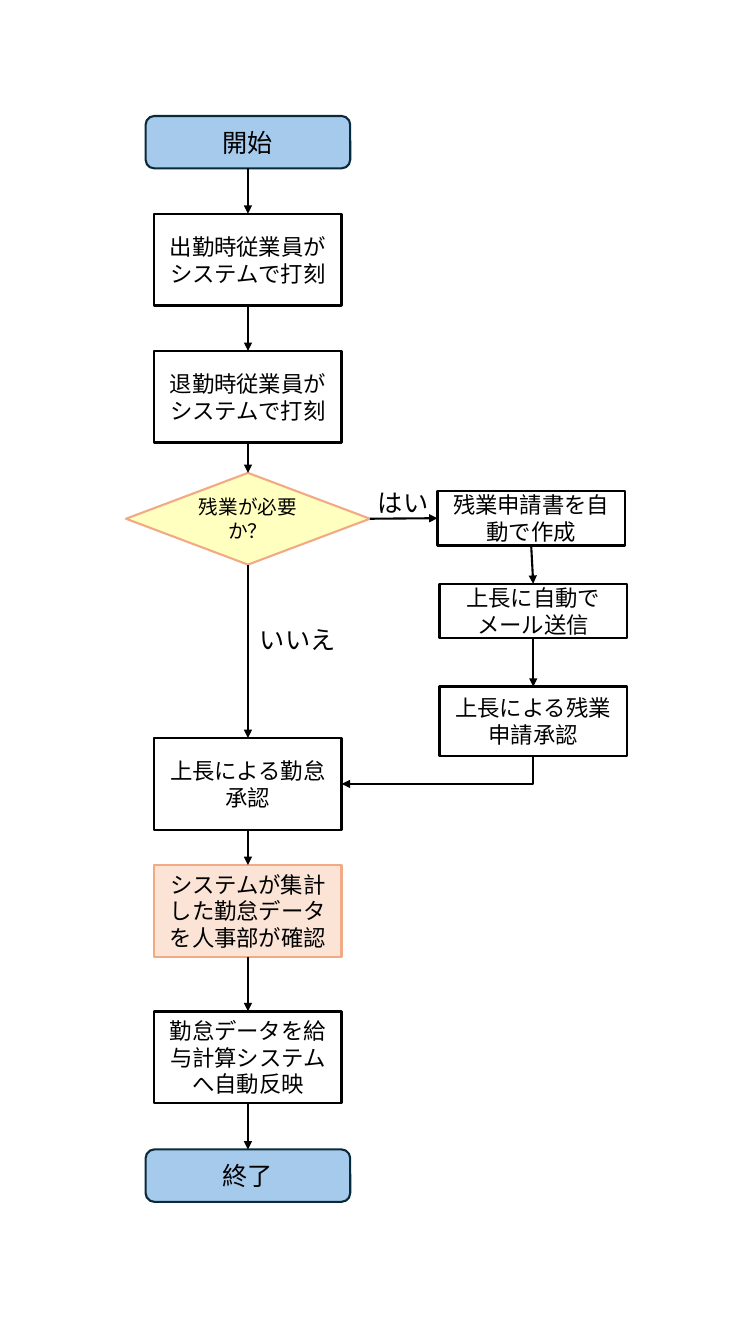
from pptx import Presentation
from pptx import util as u
from pptx.dml.color import RGBColor
from pptx.enum import shapes, text
from pptx.oxml.ns import qn
from lxml import etree

BLACK = RGBColor(0x00, 0x00, 0x00)
BLUE = RGBColor(0xA6, 0xCA, 0xEC)
NAVY = RGBColor(0x09, 0x2A, 0x39)
YELLOW = RGBColor(0xFF, 0xFF, 0x00)
PEACH = RGBColor(0xFB, 0xE3, 0xD6)
ORANGE = RGBColor(0xF2, 0xAA, 0x84)
FONT = "Karla"
RECT = shapes.MSO_SHAPE.RECTANGLE
ROUNDED = shapes.MSO_SHAPE.ROUNDED_RECTANGLE
DIAMOND = shapes.MSO_SHAPE.DIAMOND
TOP, LEFT, BOTTOM, RIGHT = range(4)
STEP_WIDTH = 1.86


def write(frame, words, size=16, align=text.PP_ALIGN.CENTER,
          anchor=text.MSO_ANCHOR.MIDDLE, wrap=True):
    frame.word_wrap = wrap
    frame.vertical_anchor = anchor
    para = frame.paragraphs[0]
    para.alignment = align
    span = para.add_run()
    span.text = words
    span.font.size = u.Pt(size)
    span.font.name = FONT
    span.font.color.rgb = BLACK


def add_node(page, kind, box, words, size=16, fill=None, line=BLACK, weight=1.75, opacity=None):
    node = page.shapes.add_shape(kind, *map(u.Inches, box))
    node.shadow.inherit = False
    if fill is None:
        node.fill.background()
    else:
        node.fill.solid()
        node.fill.fore_color.rgb = fill
    if opacity is not None:
        color = node.fill._xPr.find(".//" + qn("a:srgbClr"))
        etree.SubElement(color, qn("a:alpha")).set("val", str(opacity * 1000))
    node.line.color.rgb = line
    node.line.width = u.Pt(weight)
    write(node.text_frame, words, size)
    return node


def add_label(page, box, words):
    label = page.shapes.add_textbox(*map(u.Inches, box))
    write(label.text_frame, words, size=18, align=text.PP_ALIGN.LEFT,
          anchor=text.MSO_ANCHOR.TOP, wrap=False)


def link(page, start, end, start_site=BOTTOM, end_site=TOP):
    arrow = page.shapes.add_connector(shapes.MSO_CONNECTOR.STRAIGHT, 0, 0, 0, 0)
    arrow.begin_connect(start, start_site)
    arrow.end_connect(end, end_site)
    arrow.line.color.rgb = BLACK
    arrow.line.width = u.Pt(1.5)
    head = etree.SubElement(arrow.line._get_or_add_ln(), qn("a:tailEnd"))
    head.set("type", "triangle")
    etree.SubElement(arrow._element.spPr, qn("a:effectLst"))
    return arrow


def link_corner(page, start, end):
    arrow = link(page, start, end, BOTTOM, RIGHT)
    across, down = arrow.width, arrow.height
    center_x = arrow.left + across // 2
    center_y = arrow.top + down // 2
    arrow.left, arrow.top = center_x - down // 2, center_y - across // 2
    arrow.width, arrow.height = down, across
    frame = arrow._element.spPr.find(qn("a:xfrm"))
    frame.attrib.pop("flipH", None)
    frame.set("rot", str(90 * 60000))
    arrow._element.spPr.find(qn("a:prstGeom")).set("prst", "bentConnector2")


def add_main_flow(page, box):
    left, top, width, height = box

    def centered(offset, node_width, node_height):
        return left + (width - node_width) / 2, top + offset, node_width, node_height

    def terminal(offset, words):
        return add_node(page, ROUNDED, centered(offset, 2.03, 0.52), words,
                        size=18, fill=BLUE, line=NAVY, weight=1.5)

    def step(offset, words, **style):
        return add_node(page, RECT, centered(offset, STEP_WIDTH, 0.91), words, **style)

    decision = add_node(page, DIAMOND, centered(3.54, width, 0.91), "残業が必要か？",
                        size=14, fill=YELLOW, line=ORANGE, weight=1.5, opacity=25)
    approval = step(6.17, "上長による勤怠承認")
    nodes = [
        terminal(0, "開始"),
        step(0.97, "出勤時従業員がシステムで打刻"),
        step(2.33, "退勤時従業員がシステムで打刻"),
        decision,
        approval,
        step(7.43, "システムが集計した勤怠データを人事部が確認", fill=PEACH, line=ORANGE),
        step(8.88, "勤怠データを給与計算システムへ自動反映"),
        terminal(height - 0.52, "終了"),
    ]
    for start, end in zip(nodes, nodes[1:]):
        link(page, start, end)
    add_label(page, (left + 1.23, top + 4.99, 0.96, 0.4), "いいえ")
    return decision, approval


def add_overtime_branch(page, box, decision, approval):
    left, top, width, height = box
    steps = [
        (0, 0, 0.54, "残業申請書を自動で作成"),
        (0.02, 0.92, 0.54, "上長に自動でメール送信"),
        (0.02, height - 0.69, 0.69, "上長による残業申請承認"),
    ]
    nodes = [add_node(page, RECT, (left + shift, top + offset, width, step_height), words)
             for shift, offset, step_height, words in steps]
    link(page, decision, nodes[0], RIGHT, LEFT)
    for start, end in zip(nodes, nodes[1:]):
        link(page, start, end)
    link_corner(page, nodes[-1], approval)
    add_label(page, (left - 0.69, top - 0.09, 0.71, 0.4), "はい")


def main():
    deck = Presentation()
    deck.slide_width = u.Inches(7.5)
    deck.slide_height = u.Inches(13.33)
    page = deck.slides.add_slide(deck.slide_layouts[6])
    decision, approval = add_main_flow(page, (1.25, 1.15, 2.42, 10.77))
    add_overtime_branch(page, (4.34, 4.87, STEP_WIDTH, 2.63), decision, approval)
    deck.save("out.pptx")


if __name__ == "__main__":
    main()
